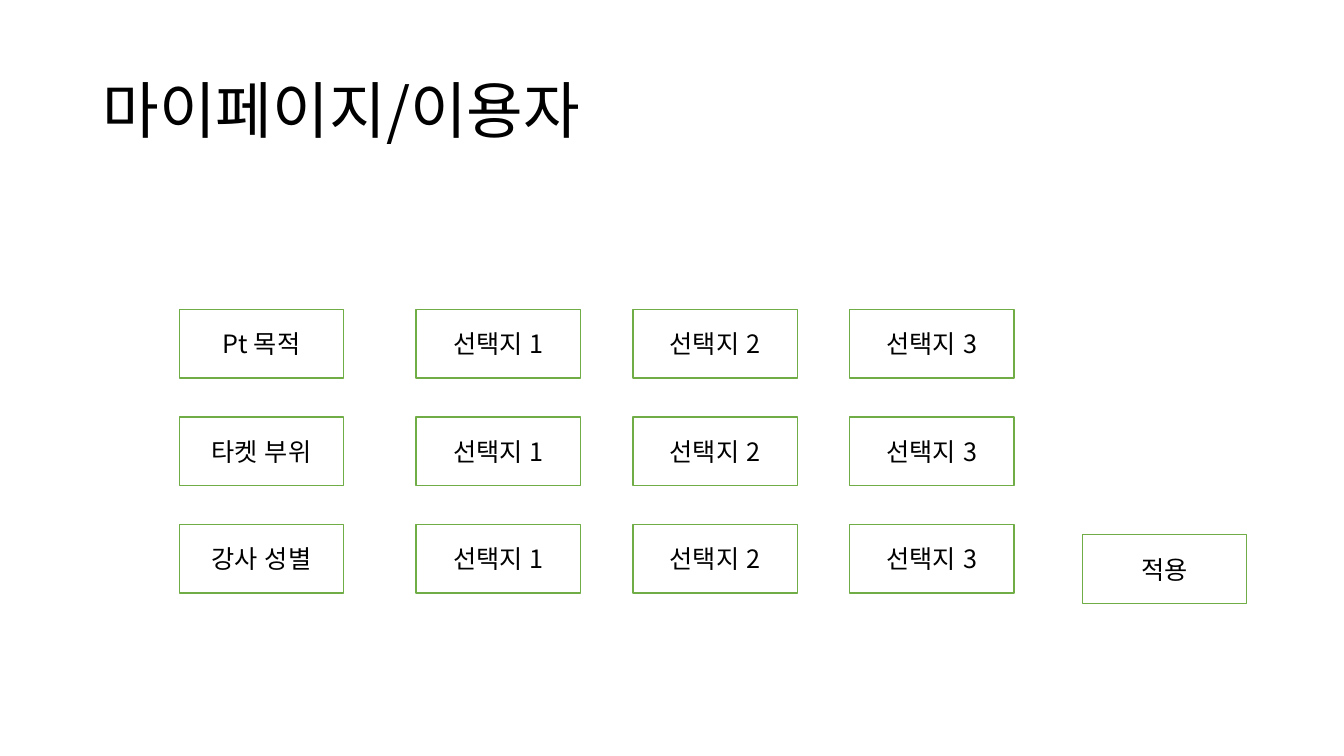
from lxml import etree
from pptx import Presentation
from pptx.dml.color import RGBColor
from pptx.enum.lang import MSO_LANGUAGE_ID
from pptx.enum.shapes import MSO_SHAPE
from pptx.enum.text import MSO_ANCHOR, PP_ALIGN
from pptx.oxml.ns import qn
from pptx.util import Pt

COLORS = {"text": "000000", "fill": "FFFFFF", "border": "70AD47"}
FONT = "Noto Sans CJK KR"
BOX_WIDTH, BOX_HEIGHT = 117.5, 49


def write_text(shape, text, size, align):
    """Write one vertically centred Korean paragraph into a shape."""
    frame = shape.text_frame
    frame.word_wrap = True
    frame.vertical_anchor = MSO_ANCHOR.MIDDLE
    paragraph = frame.paragraphs[0]
    paragraph.alignment = align
    run = paragraph.add_run()
    run.text = text
    run.font.size = Pt(size)
    run.font.name = FONT
    run.font.language_id = MSO_LANGUAGE_ID.KOREAN
    run.font.color.rgb = RGBColor.from_string(COLORS["text"])
    etree.SubElement(run.font._element, qn("a:ea"), typeface=FONT)
    return paragraph


def add_box(slide, text, left, top):
    """Add a white, green-bordered box with a centred label."""
    box = slide.shapes.add_shape(
        MSO_SHAPE.RECTANGLE, Pt(left), Pt(top), Pt(BOX_WIDTH), Pt(BOX_HEIGHT))
    box.shadow.inherit = False
    box.fill.solid()
    box.fill.fore_color.rgb = RGBColor.from_string(COLORS["fill"])
    box.line.color.rgb = RGBColor.from_string(COLORS["border"])
    box.line.width = Pt(1)
    write_text(box, text, 18, PP_ALIGN.CENTER)


prs = Presentation()
prs.slide_width, prs.slide_height = Pt(960), Pt(540)
slide = prs.slides.add_slide(prs.slide_layouts[5])

title = slide.shapes.title
title.left, title.top, title.width, title.height = Pt(66), Pt(28.8), Pt(828), Pt(104.4)
heading = write_text(title, "마이페이지/이용자", 44, PP_ALIGN.LEFT)
heading.line_spacing = 0.9

criteria = ["Pt 목적", "타켓 부위", "강사 성별"]
row_tops = [221 + 76.8 * row for row in range(len(criteria))]

for criterion, top in zip(criteria, row_tops):
    add_box(slide, criterion, 128, top)

for top in row_tops:
    for column in range(3):
        add_box(slide, f"선택지 {column + 1}", 297.2 + 154.8 * column, top)

add_box(slide, "적용", 773, 382)

prs.save("out.pptx")
